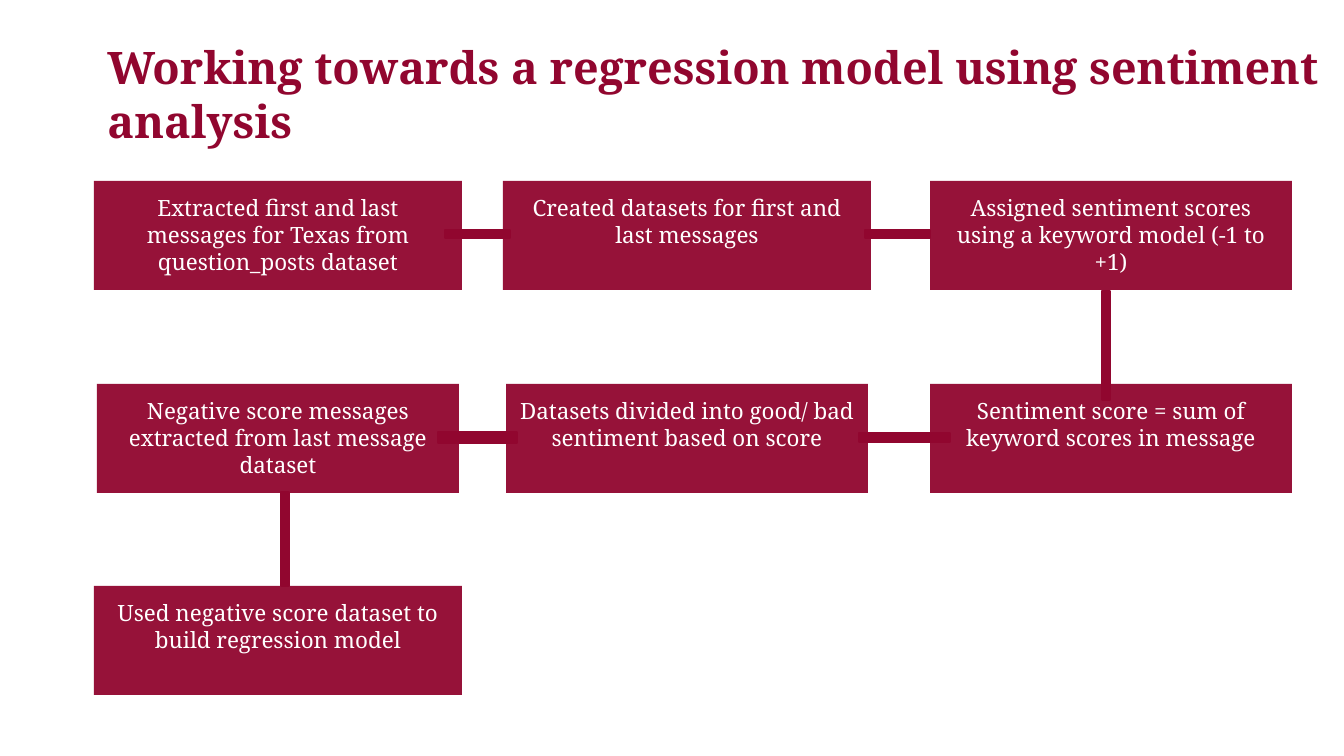
from dataclasses import dataclass

from pptx import Presentation
from pptx import util as u
from pptx.dml.color import RGBColor
from pptx.enum import shapes, text

EMU_PER_PIXEL = u.Inches(10) / 1344
FONT = "Noto Serif"
BOX_FILL, ACCENT, WHITE = "961239", "91062F", "FFFFFF"
COLUMN_CENTERS = (278, 687, 1111)
ROW_TOPS = (181, 384, 586)
BOX_HEIGHT = 109
WIDE, NARROW = 368, 362
FRAME_FORMAT = {
    "word_wrap": True,
    "auto_size": text.MSO_AUTO_SIZE.NONE,
    **{f"margin_{side}": u.Inches(0.1) for side in ("left", "top", "right", "bottom")},
}


@dataclass
class Step:
    """A box of the process, placed by column and row."""
    column: int
    row: int
    width: int
    words: str


@dataclass
class Bar:
    """A thin bar that joins two steps, in pixels."""
    left: int
    top: int
    width: int
    height: int


STEPS = [
    Step(0, 0, WIDE, "Extracted first and last messages for Texas from question_posts dataset"),
    Step(1, 0, WIDE, "Created datasets for first and last messages"),
    Step(2, 0, NARROW, "Assigned sentiment scores using a keyword model (-1 to +1)"),
    Step(2, 1, NARROW, "Sentiment score = sum of keyword scores in message"),
    Step(1, 1, NARROW, "Datasets divided into good/ bad sentiment based on score"),
    Step(0, 1, NARROW, "Negative score messages extracted from last message dataset"),
    Step(0, 2, WIDE, "Used negative score dataset to build regression model"),
]
BARS = [
    Bar(445, 230, 65, 8),
    Bar(865, 230, 65, 8),
    Bar(1102, 291, 8, 109),
    Bar(859, 433, 91, 9),
    Bar(438, 432, 79, 11),
    Bar(281, 492, 8, 94),
]


def px(pixels: float) -> int:
    """Turn pixels into EMU."""
    return round(pixels * EMU_PER_PIXEL)


def color(value: str) -> RGBColor:
    """Turn a hex string into a colour."""
    return RGBColor.from_string(value)


def apply(target, values: dict) -> None:
    """Set every attribute in the dict."""
    for name, value in values.items():
        setattr(target, name, value)


def write(box, words: str, size: int, ink: str, bold: bool, align, anchor) -> None:
    """Put one formatted paragraph into a shape."""
    frame = box.text_frame
    apply(frame, {**FRAME_FORMAT, "vertical_anchor": anchor})
    para = frame.paragraphs[0]
    para.alignment = align
    span = para.add_run()
    span.text = words
    apply(span.font, {"name": FONT, "size": u.Pt(size), "bold": bold})
    span.font.color.rgb = color(ink)


def add_rectangle(page, left: float, top: float, width: float, height: float, fill: str):
    """Add a plain filled rectangle without line or shadow."""
    box = page.shapes.add_shape(
        shapes.MSO_SHAPE.RECTANGLE, px(left), px(top), px(width), px(height))
    box.shadow.inherit = False
    box.fill.solid()
    box.fill.fore_color.rgb = color(fill)
    box.line.fill.background()
    return box


def add_step(page, step: Step) -> None:
    """Draw one step centred on its column."""
    left = COLUMN_CENTERS[step.column] - step.width / 2
    box = add_rectangle(page, left, ROW_TOPS[step.row], step.width, BOX_HEIGHT, BOX_FILL)
    write(box, step.words, 12, WHITE, False, text.PP_ALIGN.CENTER, text.MSO_ANCHOR.TOP)


def add_bar(page, bar: Bar) -> None:
    """Draw one joining bar with its thin outline."""
    box = add_rectangle(page, bar.left, bar.top, bar.width, bar.height, ACCENT)
    box.line.color.rgb = color(ACCENT)
    box.line.width = u.Pt(0.75)


def add_title(page, words: str) -> None:
    """Place and fill the title placeholder."""
    title = page.shapes.title
    apply(title, {"left": px(94), "top": px(28), "width": px(1243), "height": px(131)})
    write(title, words, 24, ACCENT, True, text.PP_ALIGN.LEFT, text.MSO_ANCHOR.MIDDLE)


def main() -> None:
    """Build and save the slide."""
    deck = Presentation()
    apply(deck, {"slide_width": px(1344), "slide_height": px(756)})
    page = deck.slides.add_slide(deck.slide_layouts[5])
    add_title(page, "Working towards a regression model using sentiment analysis")
    for step in STEPS:
        add_step(page, step)
    for bar in BARS:
        add_bar(page, bar)
    deck.save("out.pptx")


main()
